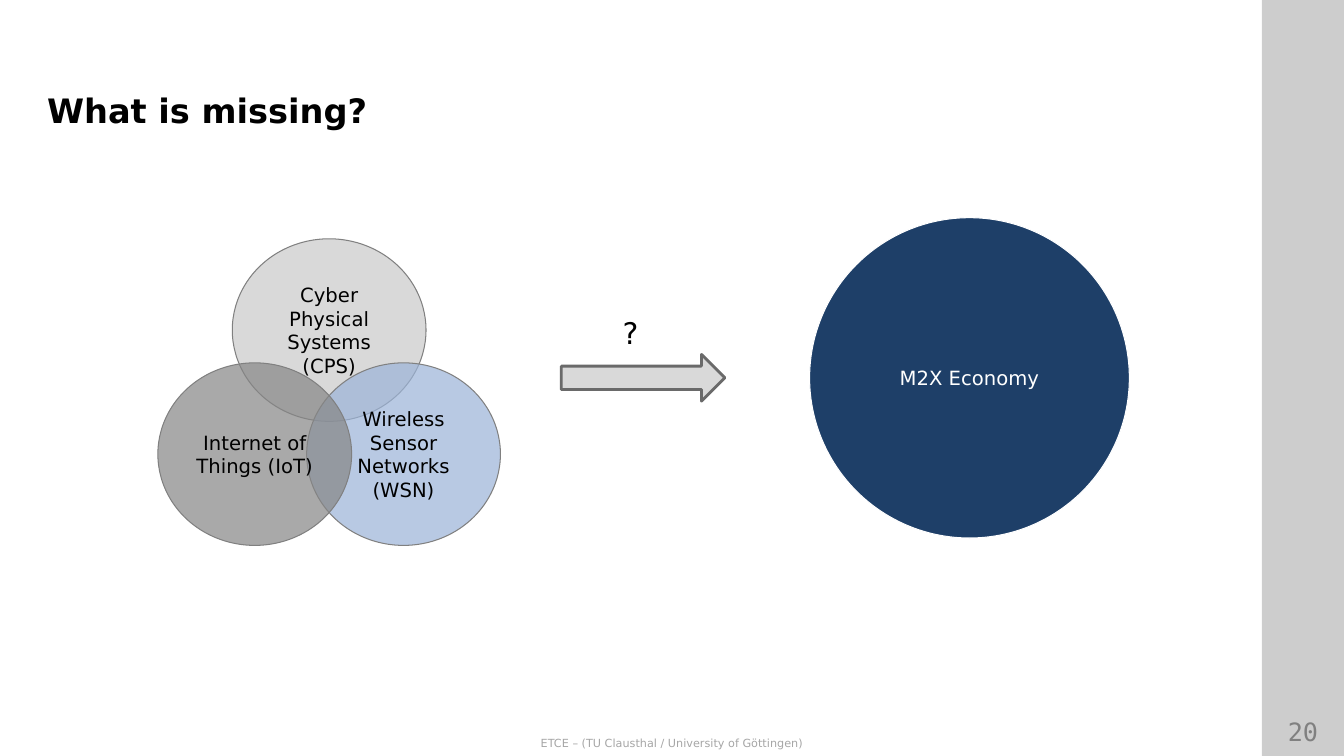
import pptx
import pptx.util
import pptx.dml.color
import pptx.enum.shapes
import pptx.enum.text
import pptx.oxml.ns
from dataclasses import dataclass
from lxml import etree

Pt = pptx.util.Pt
MSO_SHAPE = pptx.enum.shapes.MSO_SHAPE
PP_ALIGN = pptx.enum.text.PP_ALIGN
MSO_ANCHOR = pptx.enum.text.MSO_ANCHOR


@dataclass(frozen=True)
class Theme:
    font: str = "DejaVu Sans"
    mono: str = "DejaVu Sans Mono"
    black: str = "000000"
    white: str = "FFFFFF"
    light: str = "D9D9D9"
    blue: str = "9CB4D8"
    dark: str = "868686"
    navy: str = "1E3F68"
    outline: str = "808080"
    arrow_line: str = "6A6A6A"
    footer: str = "A6A6A6"
    title_size: float = 24
    mark_size: float = 21.3
    number_size: float = 18
    label_size: float = 14
    footer_size: float = 8
    bar_alpha: int = 10
    circle_alpha: int = 71


T = Theme()


def rgb(color):
    return pptx.dml.color.RGBColor.from_string(color)


def write(sp, text, size, color, font=T.font, bold=False,
          align=PP_ALIGN.CENTER, anchor=MSO_ANCHOR.TOP):
    tf = sp.text_frame
    tf.word_wrap = True
    tf.vertical_anchor = anchor
    p = tf.paragraphs[0]
    p.alignment = align
    r = p.add_run()
    r.text = text
    r.font.name = font
    r.font.size = Pt(size)
    r.font.bold = bold
    r.font.color.rgb = rgb(color)


def add_text(s, box, text, size, color, **style):
    sp = s.shapes.add_textbox(*map(Pt, box))
    write(sp, text, size, color, **style)


def add_shape(s, kind, box, fill, line=None, width=0.75, alpha=100):
    sp = s.shapes.add_shape(kind, *map(Pt, box))
    sp.shadow.inherit = False
    sp.fill.solid()
    sp.fill.fore_color.rgb = rgb(fill)
    if alpha < 100:
        qn = pptx.oxml.ns.qn
        clr = sp.fill._xPr.find(qn("a:solidFill")).find(qn("a:srgbClr"))
        etree.SubElement(clr, qn("a:alpha")).set("val", str(alpha * 1000))
    if line:
        sp.line.color.rgb = rgb(line)
        sp.line.width = Pt(width)
    else:
        sp.line.fill.background()
    return sp


def add_circle(s, box, text, fill, line, color, alpha=100):
    sp = add_shape(s, MSO_SHAPE.OVAL, box, fill, line, alpha=alpha)
    write(sp, text, T.label_size, color, anchor=MSO_ANCHOR.MIDDLE)


def add_sidebar(s, box, number):
    x, y, w, h = box
    for _ in range(2):
        add_shape(s, MSO_SHAPE.RECTANGLE, box, T.black, alpha=T.bar_alpha)
    add_text(s, (x - 0.7, y + h - 31.7, w + 1.4, 29), number,
             T.number_size, T.outline, font=T.mono)


def add_venn(s, box):
    x, y, w, h = box
    cw, ch = 138.4, 130.4
    mid, right, low = x + (w - cw) / 2, x + w - cw, y + h - ch
    circles = [
        ("Cyber Physical Systems (CPS)", mid, y, T.light, 100),
        ("Wireless Sensor Networks (WSN)", right, low, T.blue, T.circle_alpha),
        ("Internet of Things (IoT)", x, low, T.dark, T.circle_alpha),
    ]
    for text, left, top, fill, alpha in circles:
        add_circle(s, (left, top, cw, ch), text, fill, T.outline, T.black, alpha)


def add_transition(s, box):
    x, y, w, h = box
    arrow_h, mark_w = 33.4, 27.4
    add_shape(s, MSO_SHAPE.RIGHT_ARROW, (x, y + h - arrow_h, w, arrow_h),
              T.light, T.arrow_line, 2)
    add_text(s, (x + 36.7, y, mark_w, 32.4), "?", T.mark_size, T.black,
             align=PP_ALIGN.LEFT)


def main():
    prs = pptx.Presentation()
    prs.slide_width, prs.slide_height = Pt(960), Pt(540)
    s = prs.slides.add_slide(prs.slide_layouts[6])
    add_sidebar(s, (901.4, 0, 58.6, 540), "20")
    add_text(s, (0, 522.7, 960, 16.6),
             "ETCE – (TU Clausthal / University of Göttingen)",
             T.footer_size, T.footer)
    add_text(s, (26.6, 60.5, 846.7, 39.6), "What is missing?",
             T.title_size, T.black, bold=True, align=PP_ALIGN.LEFT)
    add_venn(s, (112.8, 170.6, 244.7, 219))
    add_transition(s, (401, 221, 116.8, 65.6))
    add_circle(s, (578.3, 155.5, 228.4, 228.8), "M2X Economy",
               T.navy, T.white, T.white)
    prs.save("out.pptx")


if __name__ == "__main__":
    main()
